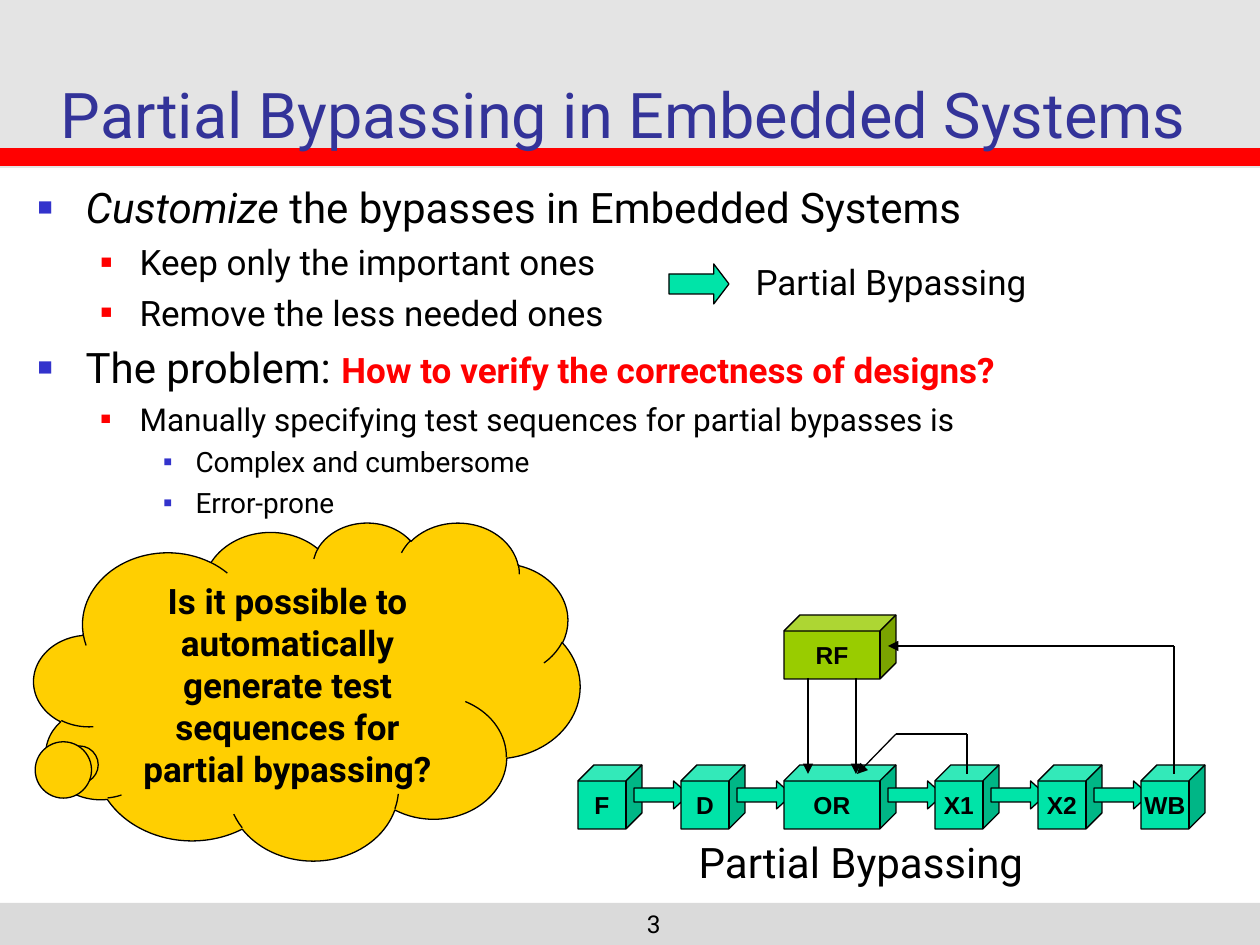
from lxml import etree
from pptx import Presentation
from pptx.dml.color import RGBColor
from pptx.enum.shapes import MSO_CONNECTOR, MSO_SHAPE
from pptx.enum.text import MSO_ANCHOR, MSO_AUTO_SIZE, PP_ALIGN
from pptx.oxml.ns import qn
from pptx.util import Emu, Pt

STRAIGHT = MSO_CONNECTOR.STRAIGHT
RECTANGLE, CUBE = MSO_SHAPE.RECTANGLE, MSO_SHAPE.CUBE
ARROW, CLOUD = MSO_SHAPE.RIGHT_ARROW, MSO_SHAPE.CLOUD_CALLOUT
TOP, MIDDLE, BOTTOM = MSO_ANCHOR.TOP, MSO_ANCHOR.MIDDLE, MSO_ANCHOR.BOTTOM
CENTER, RIGHT = PP_ALIGN.CENTER, PP_ALIGN.RIGHT
NO_AUTOFIT = MSO_AUTO_SIZE.NONE

BLACK = RGBColor(0x00, 0x00, 0x00)
RED = RGBColor(0xFF, 0x00, 0x00)
RULE_RED = RGBColor(0xFF, 0x01, 0x01)
NAVY = RGBColor(0x33, 0x33, 0x99)
BLUE = RGBColor(0x33, 0x33, 0xCC)
HEADER_GRAY = RGBColor(0xE4, 0xE4, 0xE4)
FOOTER_GRAY = RGBColor(0xDA, 0xDA, 0xDA)
TEAL = RGBColor(0x00, 0xE4, 0xA8)
GREEN = RGBColor(0x99, 0xCC, 0x00)
GOLD = RGBColor(0xFF, 0xCF, 0x01)

PX = 914400 / 126
WIDTH, HEIGHT = 1260, 945

TITLE = "Partial Bypassing in Embedded Systems"
LABEL = "Partial Bypassing"
QUESTION = ("Is it possible to automatically generate test "
            "sequences for partial bypassing?")
# level, size, space before, runs of (text, run format)
BULLETS = [
    (0, 24, 0, [("Customize", {"italic": True}),
                (" the bypasses in Embedded Systems", {})]),
    (1, 20, 5, [("Keep only the important ones", {})]),
    (1, 20, 5, [("Remove the less needed ones", {})]),
    (0, 24, 5, [("The problem: ", {}),
                ("How to verify the correctness of designs?",
                 {"bold": True, "size": Pt(20), "color": RED})]),
    (1, 18, 4.5, [("Manually specifying test sequences for partial bypasses is", {})]),
    (2, 16, 4, [("Complex and cumbersome", {})]),
    (2, 16, 4, [("Error-prone", {})]),
]
# left margin, hanging indent, bullet percent, bullet colour
LEVELS = [(48, 48, 60, BLUE), (102, 39, 55, RED), (158, 32, 50, BLUE)]

STAGES = [("F", 64), ("D", 64), ("OR", 112), ("X1", 64), ("X2", 64), ("WB", 64)]
STAGE_LEFT, STAGE_TOP, STAGE_HEIGHT, STAGE_GAP = 578, 765, 64, 39
REGISTER_FILE = (784, 615, 112, 64)
# points of each path; the last segment may carry an arrowhead
PATHS = [
    ([(808, 678), (808, 774)], True),
    ([(856, 678), (856, 774)], True),
    ([(967, 774), (967, 734), (896, 734), (857, 774)], True),
    ([(1174, 774), (1174, 646), (888, 646)], True),
]


def px(value):
    return Emu(round(value * PX))


def place(shape, left, top, width, height):
    shape.left, shape.top = px(left), px(top)
    shape.width, shape.height = px(width), px(height)


def style(font, size, color=BLACK, name="Roboto", bold=False):
    font.name, font.size, font.bold = name, Pt(size), bold
    font.color.rgb = color


def write(shape, text, size, align=CENTER, anchor=TOP, wrap=True, **look):
    frame = shape.text_frame
    frame.word_wrap, frame.auto_size = wrap, NO_AUTOFIT
    frame.vertical_anchor = anchor
    para = frame.paragraphs[0]
    para.text, para.alignment = text, align
    style(para.font, size, **look)


def add_shape(slide, kind, bounds, fill, adjustments=(), outlined=True):
    shape = slide.shapes.add_shape(kind, *map(px, bounds))
    shape.shadow.inherit = False
    shape.fill.solid()
    shape.fill.fore_color.rgb = fill
    if outlined:
        shape.line.color.rgb = BLACK
        shape.line.width = Pt(0.75)
    else:
        shape.line.fill.background()
    for index, value in enumerate(adjustments):
        shape.adjustments[index] = value
    return shape


def add_line(slide, start, end, color=BLACK, width=0.75, arrow=False):
    line = slide.shapes.add_connector(STRAIGHT, *map(px, (*start, *end)))
    line.line.color.rgb = color
    line.line.width = Pt(width)
    properties = line._element.spPr
    if arrow:
        etree.SubElement(properties.find(qn("a:ln")), qn("a:tailEnd"), type="triangle")
    etree.SubElement(properties, qn("a:effectLst"))
    return line


def add_label(slide, bounds, text, size, **options):
    write(slide.shapes.add_textbox(*map(px, bounds)), text, size, **options)


def add_cube(slide, bounds, text, fill):
    cube = add_shape(slide, CUBE, bounds, fill, [0.25])
    write(cube, text, 14, anchor=MIDDLE, wrap=False, name="Arial", bold=True)


def set_bullet(para, level):
    margin, hanging, percent, color = LEVELS[level]
    properties = para._p.get_or_add_pPr()
    properties.set("marL", str(px(margin)))
    properties.set("indent", str(-px(hanging)))
    bullet_color = etree.SubElement(properties, qn("a:buClr"))
    etree.SubElement(bullet_color, qn("a:srgbClr"), val=str(color))
    etree.SubElement(properties, qn("a:buSzPct"), val=str(percent * 1000))
    etree.SubElement(properties, qn("a:buChar"), char="■")


def add_background(slide):
    """Put the bands and the rule behind the placeholders."""
    parts = [
        add_shape(slide, RECTANGLE, (0, 903, WIDTH, 42), FOOTER_GRAY, outlined=False),
        add_shape(slide, RECTANGLE, (0, 0, WIDTH, 168), HEADER_GRAY, outlined=False),
        add_line(slide, (0, 157), (WIDTH, 157), RULE_RED, 10),
    ]
    tree = slide.shapes._spTree
    for position, part in enumerate(parts, start=2):
        tree.insert(position, part._element)


def fill_body(body):
    place(body, 25, 175, 1235, 725)
    frame = body.text_frame
    frame.auto_size, frame.vertical_anchor = NO_AUTOFIT, TOP
    for index, (level, size, before, runs) in enumerate(BULLETS):
        para = frame.add_paragraph() if index else frame.paragraphs[0]
        para.level = level
        set_bullet(para, level)
        para.space_before = Pt(before)
        style(para.font, size)
        for text, look in runs:
            span = para.add_run()
            span.text = text
            for key, value in look.items():
                if key == "color":
                    span.font.color.rgb = value
                else:
                    setattr(span.font, key, value)


def add_pipeline(slide):
    left = STAGE_LEFT
    for index, (name, width) in enumerate(STAGES):
        add_cube(slide, (left, STAGE_TOP, width, STAGE_HEIGHT), name, TEAL)
        left += width
        if index < len(STAGES) - 1:
            add_shape(slide, ARROW, (left - 8, STAGE_TOP + 16, 55, 28), TEAL, [0.5, 0.55])
        left += STAGE_GAP
    add_cube(slide, REGISTER_FILE, "RF", GREEN)
    for points, arrow in PATHS:
        for start, end in zip(points, points[1:]):
            add_line(slide, start, end, arrow=arrow and end == points[-1])


def main():
    deck = Presentation()
    deck.slide_width, deck.slide_height = px(WIDTH), px(HEIGHT)
    slide = deck.slides.add_slide(deck.slide_layouts[1])
    add_background(slide)
    title = slide.shapes.title
    place(title, 15, 0, 1217, 157)
    write(title, TITLE, 36, anchor=BOTTOM, color=NAVY)
    fill_body(slide.placeholders[1])
    add_pipeline(slide)
    add_label(slide, (630, 830, 462, 63), LABEL, 24)
    add_shape(slide, ARROW, (669, 264, 60, 40), TEAL, [0.5, 0.38])
    add_label(slide, (660, 254, 462, 63), LABEL, 20)
    cloud = add_shape(slide, CLOUD, (34, 522, 546, 338), GOLD, [-0.42, 0.22])
    write(cloud, QUESTION, 20, bold=True)
    add_label(slide, (411, 882, 262, 63), "3", 14, align=RIGHT, anchor=BOTTOM)
    deck.save("out.pptx")


if __name__ == "__main__":
    main()
